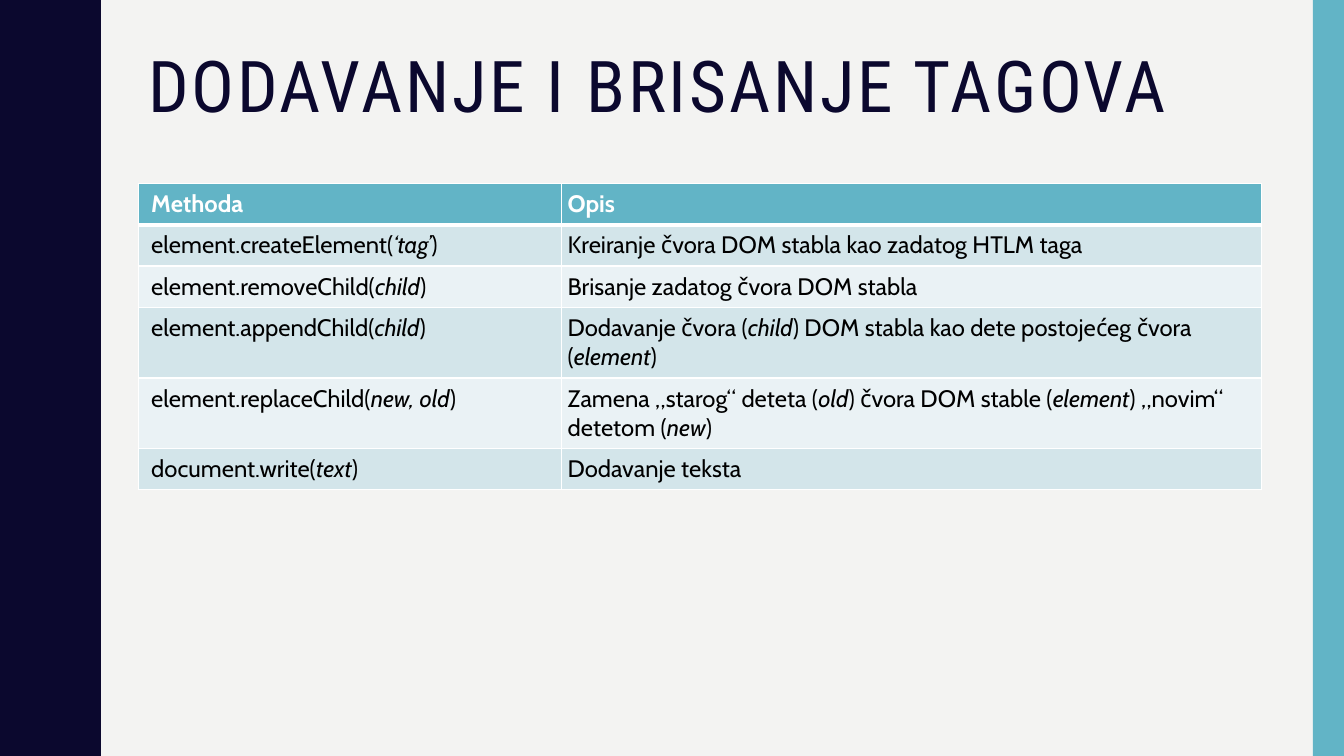
from lxml import etree
from pptx import Presentation
from pptx.dml.color import RGBColor
from pptx.enum.shapes import MSO_SHAPE
from pptx.enum.text import MSO_ANCHOR
from pptx.oxml.ns import qn
from pptx.util import Inches, Pt

RECTANGLE = MSO_SHAPE.RECTANGLE
TOP = MSO_ANCHOR.TOP
NAVY, TEAL, PAPER, WHITE, BLACK = "0B082E", "62B4C6", "F3F3F2", "FFFFFF", "000000"
BANDS = ["D3E5EA", "EAF2F5"]

# Asterisks enclose italic words.
ROWS = [
    ("Methoda", "Opis"),
    ("element.createElement(*‘tag’*)", "Kreiranje čvora DOM stabla kao zadatog HTLM taga"),
    ("element.removeChild(*child*)", "Brisanje zadatog čvora DOM stabla"),
    ("element.appendChild(*child*)",
     "Dodavanje čvora (*child*) DOM stabla kao dete postojećeg čvora (*element*)"),
    ("element.replaceChild(*new, old*)",
     "Zamena „starog“ deteta (*old*) čvora DOM stable (*element*) „novim“ detetom (*new*)"),
    ("document.write(*text*)", "Dodavanje teksta"),
]
ROW_HEIGHTS = [0.41, 0.41, 0.41, 0.7, 0.7, 0.41]
COLUMN_WIDTHS = [4.2, 6.94]


def paint(target, color):
    """Give a fill or a font a solid colour from a hex string."""
    if hasattr(target, "solid"):
        target.solid()
        target.fore_color.rgb = RGBColor.from_string(color)
    else:
        target.color.rgb = RGBColor.from_string(color)


def add_border(cell, side, points):
    """Draw a white line on one side (L, R, T or B) of a cell."""
    properties = cell._tc.get_or_add_tcPr()
    line = etree.SubElement(properties, qn("a:ln" + side), w=str(Pt(points)))
    solid = etree.SubElement(line, qn("a:solidFill"))
    etree.SubElement(solid, qn("a:srgbClr"), val=WHITE)


deck = Presentation()
deck.slide_width, deck.slide_height = Inches(13.33), Inches(7.5)
page = deck.slides.add_slide(deck.slide_layouts[6])
paint(page.background.fill, PAPER)

# Wavy left edge: half a wave, mirrored and repeated five times
half_x = [0.78, 0.78, 0.79, 0.8, 0.81, 0.83, 0.85, 0.87,
          0.89, 0.91, 0.93, 0.95, 0.96, 0.97, 0.97]
half_y = [0, 0.07, 0.14, 0.2, 0.25, 0.29, 0.33, 0.38,
          0.42, 0.46, 0.5, 0.55, 0.61, 0.68, 0.75]
half_wave = list(zip(half_x, half_y))
period = 1.5
wave = half_wave + [(x, period - y) for x, y in reversed(half_wave)]
edge = [(x, y + period * turn) for turn in range(5) for x, y in wave]
builder = page.shapes.build_freeform(0, 0, scale=Inches(1))
builder.add_line_segments(edge + [(0, 7.5)], close=True)
wavy_edge = builder.convert_to_shape()

right_bar = page.shapes.add_shape(RECTANGLE, Inches(13.02), 0, Inches(0.31), Inches(7.5))
for shape, color in [(wavy_edge, NAVY), (right_bar, TEAL)]:
    paint(shape.fill, color)
    shape.line.fill.background()
    shape.shadow.inherit = False

title = page.shapes.add_textbox(Inches(1.37), Inches(0.42), Inches(11.13), Inches(1.63))
frame = title.text_frame
frame.word_wrap = True
frame.vertical_anchor = TOP
frame.margin_top = Inches(0.08)
para = frame.paragraphs[0]
para.line_spacing = 0.9
span = para.add_run()
span.text = "DODAVANJE I BRISANJE TAGOVA"
span.font.name, span.font.size = "Roboto Condensed", Pt(51)
paint(span.font, NAVY)
span.font._element.set("spc", "200")

table = page.shapes.add_table(len(ROWS), 2, Inches(1.37), Inches(1.82),
                              Inches(11.14), Inches(3.04)).table
table.first_row = table.horz_banding = False
for column, width in zip(table.columns, COLUMN_WIDTHS):
    column.width = Inches(width)
for row, height in zip(table.rows, ROW_HEIGHTS):
    row.height = Inches(height)

for r, texts in enumerate(ROWS):
    header = r == 0
    for c, text in enumerate(texts):
        cell = table.cell(r, c)
        margins = {"margin_left": 0.06 if c else 0.13, "margin_right": 0.06,
                   "margin_top": 0.06, "margin_bottom": 0.06}
        for name, value in margins.items():
            setattr(cell, name, Inches(value))
        borders = {"L": 1, "R": 1, "T": 3 if r == 1 else 1, "B": 3 if header else 1}
        for side, points in borders.items():
            add_border(cell, side, points)
        paint(cell.fill, TEAL if header else BANDS[(r - 1) % 2])
        para = cell.text_frame.paragraphs[0]
        for part, words in enumerate(text.split("*")):
            span = para.add_run()
            span.text = words
            style = {"name": "Cabin", "size": Pt(17), "bold": header, "italic": part % 2 == 1}
            for name, value in style.items():
                setattr(span.font, name, value)
            paint(span.font, WHITE if header else BLACK)

deck.save("out.pptx")
